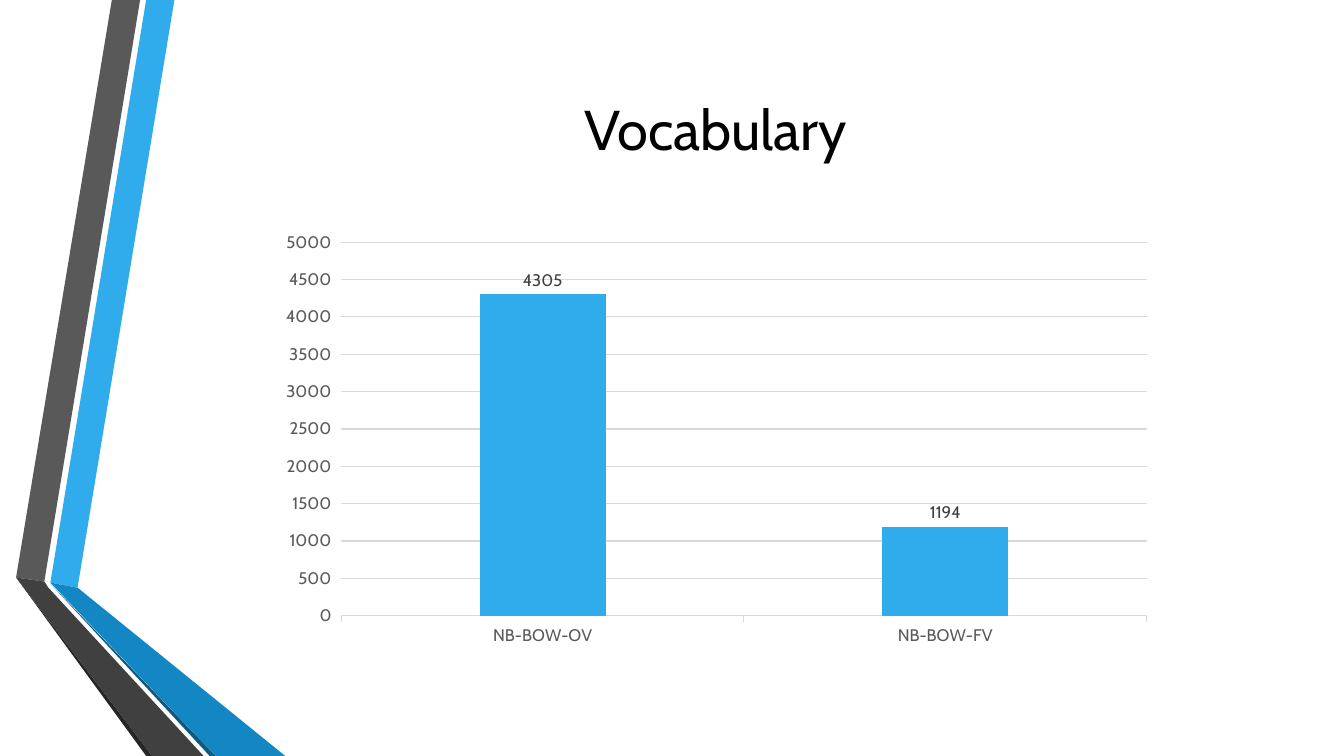
import pptx
import pptx.util
import pptx.chart.data
import pptx.dml.color
import pptx.enum.chart
import pptx.enum.text

Inches, Pt = pptx.util.Inches, pptx.util.Pt


def rgb(value):
    """Turn a hex string into a colour."""
    return pptx.dml.color.RGBColor.from_string(value)


class Deck:
    """Hold the style and the current slide."""

    FONT = "Cabin"
    BLUE = "30ACEC"
    GREY = "595959"
    GRID = "D9D9D9"

    def __init__(self, slide):
        """Keep the slide to draw on."""
        self.s = slide

    def style(self, font, size, color):
        """Set face, size and colour of a font."""
        font.name, font.size = self.FONT, Pt(size)
        font.color.rgb = rgb(color)

    def polygon(self, points, color):
        """Draw a closed filled outline without a line."""
        pts = [(Inches(x), Inches(y)) for x, y in points]
        fb = self.s.shapes.build_freeform(*pts[0])
        fb.add_line_segments(pts[1:], close=True)
        sp = fb.convert_to_shape()
        sp.shadow.inherit = False
        sp.fill.solid()
        sp.fill.fore_color.rgb = rgb(color)
        sp.line.fill.background()

    def title(self, text, box):
        """Add a centred title."""
        tf = self.s.shapes.add_textbox(*map(Inches, box)).text_frame
        tf.word_wrap = True
        tf.vertical_anchor = pptx.enum.text.MSO_ANCHOR.MIDDLE
        p = tf.paragraphs[0]
        p.alignment = pptx.enum.text.PP_ALIGN.CENTER
        r = p.add_run()
        r.text = text
        self.style(r.font, 40, "000000")

    def line(self, fmt):
        """Give a chart line the thin grid look."""
        fmt.color.rgb = rgb(self.GRID)
        fmt.width = Pt(0.75)

    def columns(self, cats, vals, box):
        """Add a column chart with value labels."""
        enum = pptx.enum.chart
        data = pptx.chart.data.CategoryChartData()
        data.categories = cats
        data.add_series("Series 1", vals)
        chart = self.s.shapes.add_chart(
            enum.XL_CHART_TYPE.COLUMN_CLUSTERED, *map(Inches, box), data).chart
        chart.has_legend = chart.has_title = False
        self.style(chart.font, 10, "000000")

        cat, val = chart.category_axis, chart.value_axis
        for axis in (cat, val):
            self.style(axis.tick_labels.font, 12, self.GREY)
        cat.major_tick_mark = enum.XL_TICK_MARK.OUTSIDE
        self.line(cat.format.line)
        val.major_tick_mark = enum.XL_TICK_MARK.OUTSIDE
        val.format.line.fill.background()
        val.minimum_scale, val.maximum_scale, val.major_unit = 0, 5000, 500
        self.line(val.major_gridlines.format.line)

        plot = chart.plots[0]
        plot.vary_by_categories = False
        plot.gap_width, plot.overlap = 219, -27
        fill = plot.series[0].format.fill
        fill.solid()
        fill.fore_color.rgb = rgb(self.BLUE)
        labels = plot.series[0].data_labels
        labels.show_value = True
        labels.position = enum.XL_LABEL_POSITION.OUTSIDE_END
        self.style(labels.font, 12, "404040")


prs = pptx.Presentation()
prs.slide_width, prs.slide_height = Inches(13.33), Inches(7.5)
deck = Deck(prs.slides.add_slide(prs.slide_layouts[6]))

RIBBONS = [
    ([(0.5, 5.78), (0.77, 5.83), (1.73, 0), (1.45, 0)], Deck.BLUE),
    ([(1.39, 0), (1.11, 0), (0.16, 5.73), (0.44, 5.77)], Deck.GREY),
    ([(0.16, 5.73), (1.45, 7.5), (1.51, 7.5)], "262626"),
    ([(0.5, 5.79), (2.08, 7.5), (2.14, 7.5)], "0C5A82"),
    ([(0.5, 5.78), (2.14, 7.5), (2.83, 7.5), (0.77, 5.83)], "1287C3"),
    ([(2.02, 7.5), (0.48, 5.83), (0.44, 5.77), (0.16, 5.73), (1.51, 7.5)],
     "404040"),
]
for points, color in RIBBONS:
    deck.polygon(points, color)

deck.title("Vocabulary", (1.62, 0.31, 10.96, 1.92))
deck.columns(["NB-BOW-OV", "NB-BOW-FV"], [4305, 1194],
             (2.66, 2.22, 8.89, 4.27))

prs.save("out.pptx")
